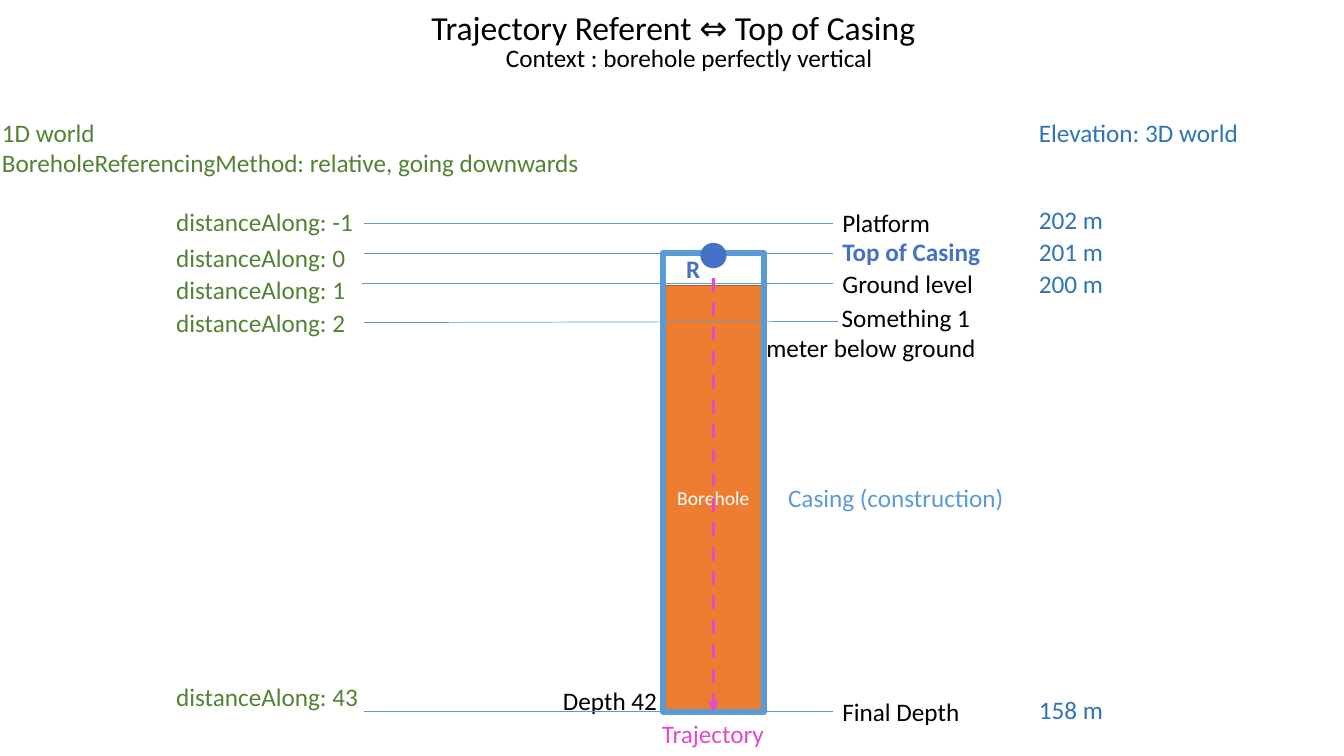
from lxml import etree
from pptx import Presentation
from pptx.dml.color import RGBColor
from pptx.enum.dml import MSO_LINE
from pptx.enum.shapes import MSO_CONNECTOR, MSO_SHAPE
from pptx.enum.text import MSO_ANCHOR, MSO_AUTO_SIZE, PP_ALIGN
from pptx.oxml.ns import qn
from pptx.util import Cm, Pt

RECT, OVAL = MSO_SHAPE.RECTANGLE, MSO_SHAPE.OVAL
LINE, DASH = MSO_CONNECTOR.STRAIGHT, MSO_LINE.DASH
LEFT, MID, RIGHT = PP_ALIGN.LEFT, PP_ALIGN.CENTER, PP_ALIGN.RIGHT
CENTRE, GROW = MSO_ANCHOR.MIDDLE, MSO_AUTO_SIZE.SHAPE_TO_FIT_TEXT

HUES = {
    "black": "000000", "white": "FFFFFF", "green": "548235",
    "blue": "2E75B6", "sky": "5B9BD5", "royal": "4472C4",
    "orange": "ED7D31", "rust": "AF5C24", "pink": "E64AC8",
}


def hue(name):
    return RGBColor.from_string(HUES[name])


def write(frame, text, color, size=18, bold=False, align=LEFT):
    frame.text = text
    for para in frame.paragraphs:
        para.alignment = align
        for run in para.runs:
            font = run.font
            font.name, font.size, font.bold = "Calibri", Pt(size), bold
            font.color.rgb = hue(color)


def label(slide, x, y, w, text, color="black", size=18, bold=False, align=LEFT):
    rows = text.count("\n") + 1
    high = size * 0.0423 * rows + 0.25
    box = slide.shapes.add_textbox(Cm(x), Cm(y), Cm(w), Cm(high))
    frame = box.text_frame
    frame.word_wrap, frame.auto_size = False, GROW
    write(frame, text, color, size, bold, align)


def block(slide, kind, x, y, w, h, fill=None, edge=None, width=1):
    shape = slide.shapes.add_shape(kind, Cm(x), Cm(y), Cm(w), Cm(h))
    shape.shadow.inherit = False
    if fill:
        shape.fill.solid()
        shape.fill.fore_color.rgb = hue(fill)
    else:
        shape.fill.background()
    if edge:
        shape.line.color.rgb = hue(edge)
        shape.line.width = Pt(width)
    else:
        shape.line.fill.background()
    return shape


def stroke(slide, x1, y1, x2, y2, color="sky", width=0.5):
    link = slide.shapes.add_connector(LINE, Cm(x1), Cm(y1), Cm(x2), Cm(y2))
    link.line.color.rgb = hue(color)
    link.line.width = Pt(width)
    etree.SubElement(link.line._get_or_add_ln().getparent(), qn("a:effectLst"))
    return link


def add_head(slide, x, y, w):
    label(slide, x, y, w, "Trajectory Referent ⇔ Top of Casing", size=24)
    label(slide, x + 1.88, y + 0.89, 9.86, "Context : borehole perfectly vertical")


def add_well(slide, x, y, w, h):
    bore = block(slide, RECT, x, y + 0.81, w, h - 0.84, "orange", "rust")
    bore.text_frame.vertical_anchor = CENTRE
    write(bore.text_frame, "Borehole", "white", 14, align=MID)
    block(slide, RECT, x, y, w, h, edge="sky", width=4.5)
    label(slide, x + w + 0.36, y + 5.66, 6.02, "Casing (construction)", "sky")
    label(slide, x - 2.82, y + h - 0.79, 2.92, "Depth 42", align=RIGHT)


def add_lines(slide, x, y, w):
    for dy in (0, 0.74, 12.29):
        stroke(slide, x, y + dy, x + w, y + dy)
    stroke(slide, x - 0.05, y + 1.5, x + w, y + 1.5)
    stroke(slide, x, y + 2.49, x + w + 0.15, y + 2.46)


def add_track(slide, x, y, w, h):
    mid = x + w / 2
    track = stroke(slide, mid, y, mid, y + h, "pink", 2.5)
    track.line.dash_style = DASH
    tail = etree.SubElement(track.line._get_or_add_ln(), qn("a:tailEnd"))
    tail.set("type", "triangle")
    label(slide, x - 0.28, y + h + 0.03, 3.1, "Trajectory", "pink")
    block(slide, OVAL, mid - 0.33, y - 0.26, 0.66, 0.64, "royal")
    label(slide, mid - 0.94, y - 0.13, 0.86, "R", "royal", bold=True)


def add_along(slide, x, y):
    label(slide, -0.2, y, 15.24,
          "1D world\nBoreholeReferencingMethod: relative, going downwards", "green")
    marks = ((2.26, 5.03, "-1"), (3.15, 4.83, "0"), (3.96, 4.83, "1"),
             (4.8, 4.83, "2"), (14.22, 5.16, "43"))
    for dy, w, mark in marks:
        label(slide, x, y + dy, w, f"distanceAlong: {mark}", "green")


def add_names(slide, x, y):
    label(slide, x, y, 2.77, "Platform")
    label(slide, x, y + 0.73, 4.01, "Top of Casing", "royal", bold=True)
    label(slide, x, y + 1.52, 3.84, "Ground level")
    label(slide, x - 2.01, y + 2.38, 5.87, "Something 1 \nmeter below ground",
          align=RIGHT)
    label(slide, x, y + 12.31, 3.51, "Final Depth")


def add_heights(slide, x, y):
    label(slide, x, y, 5.74, "Elevation: 3D world", "blue")
    for dy, high in ((2.21, 202), (3.02, 201), (3.81, 200), (14.55, 158)):
        label(slide, x, y + dy, 2.16, f"{high} m", "blue")


def main():
    deck = Presentation()
    deck.slide_width, deck.slide_height = Cm(33.87), Cm(19.05)
    slide = deck.slides.add_slide(deck.slide_layouts[6])
    add_head(slide, 10.62, 0.05, 13.03)
    add_well(slide, 16.71, 6.38, 2.54, 11.56)
    add_lines(slide, 9.17, 5.64, 11.81)
    add_names(slide, 20.98, 5.11)
    add_along(slide, 4.19, 2.82)
    add_heights(slide, 25.93, 2.82)
    add_track(slide, 16.71, 6.38, 2.54, 11.56)
    deck.save("out.pptx")


if __name__ == "__main__":
    main()
